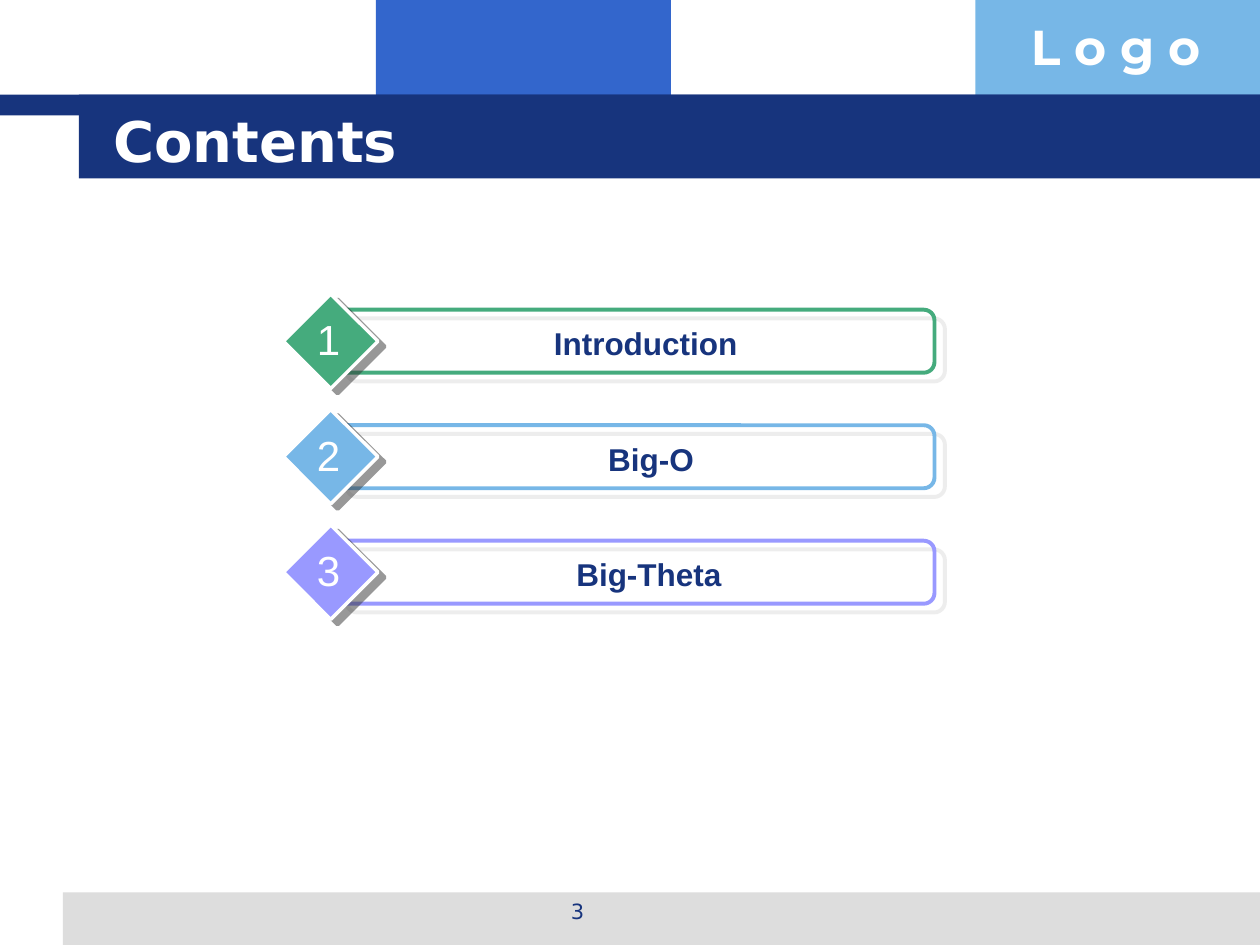
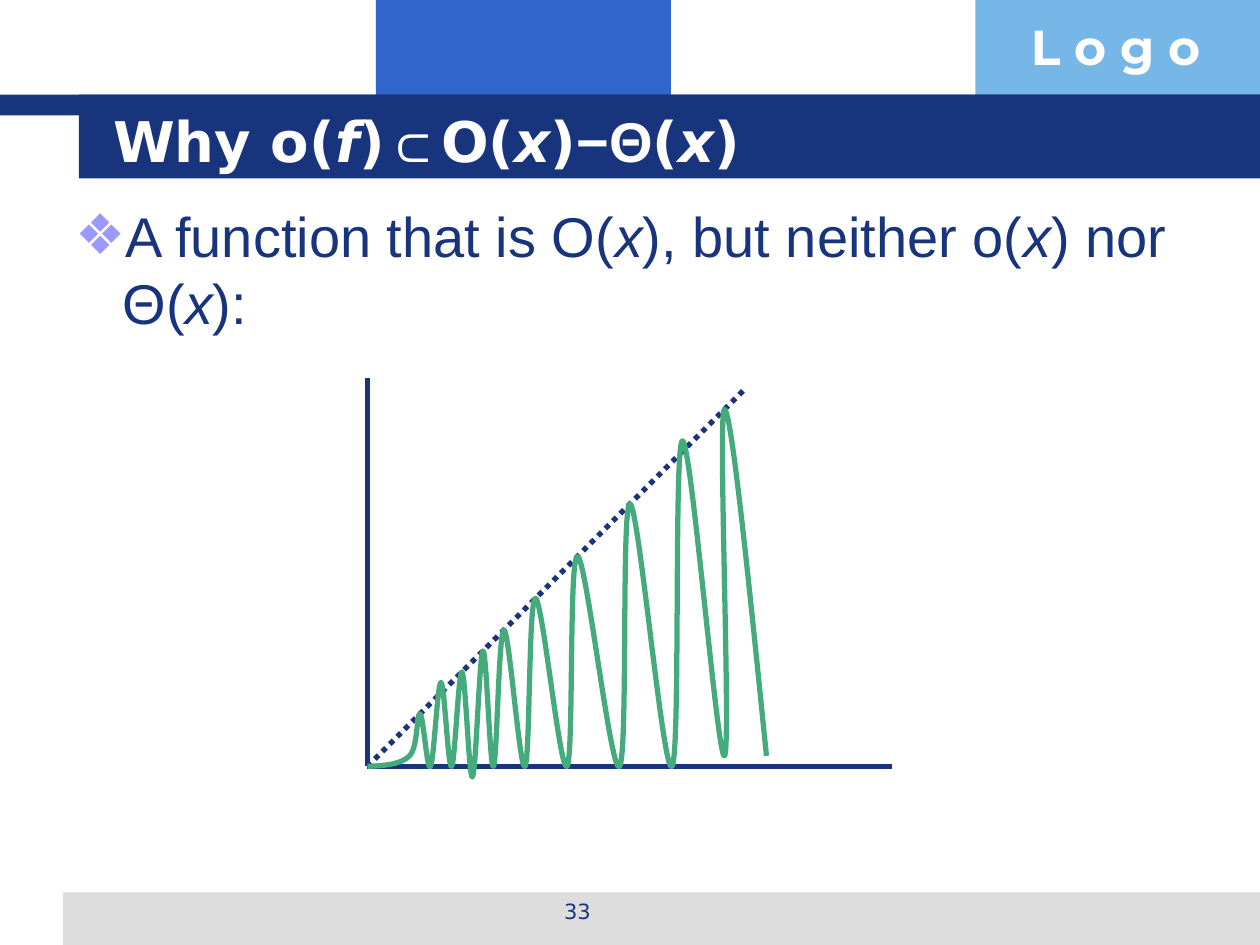
import lxml.etree
import pptx
import pptx.dml.color
import pptx.enum.dml
import pptx.enum.shapes
import pptx.enum.text
import pptx.oxml.ns
import pptx.util

EMU_PER_PX = 7620
SLIDE_WIDTH, SLIDE_HEIGHT = 1200, 900

NAVY = pptx.dml.color.RGBColor(0x17, 0x34, 0x7D)
BLUE = pptx.dml.color.RGBColor(0x33, 0x66, 0xCC)
SKY = pptx.dml.color.RGBColor(0x77, 0xB7, 0xE7)
GREEN = pptx.dml.color.RGBColor(0x45, 0xAB, 0x7D)
VIOLET = pptx.dml.color.RGBColor(0x99, 0x99, 0xFF)
GREY = pptx.dml.color.RGBColor(0xDD, 0xDD, 0xDD)
DARK_GREY = pptx.dml.color.RGBColor(0x33, 0x33, 0x33)
WHITE = pptx.dml.color.RGBColor(0xFF, 0xFF, 0xFF)

SHAPES = pptx.enum.shapes.MSO_SHAPE
CENTER = pptx.enum.text.PP_ALIGN.CENTER
MIDDLE = pptx.enum.text.MSO_ANCHOR.MIDDLE

TITLE_FORMAT = {"name": "DejaVu Sans", "size": pptx.util.Pt(32), "bold": True}
LOGO_FORMAT = {"name": "Montserrat", "size": pptx.util.Pt(28), "bold": True}
PAGE_FORMAT = {"name": "DejaVu Sans", "size": pptx.util.Pt(12)}
LABEL_FORMAT = {"name": "Arial", "size": pptx.util.Pt(18), "bold": True}
NUMBER_FORMAT = {"name": "Arial", "size": pptx.util.Pt(24)}
BODY_FORMAT = {"name": "Arial", "size": pptx.util.Pt(32)}
ITALIC = {"italic": True}
ARIAL = {"name": "Arial"}

BANDS = [
    ((358, 0, 281, 110), BLUE),
    ((929, 0, 271, 110), SKY),
    ((60, 850, 1140, 50), GREY),
    ((0, 90, 1200, 20), NAVY),
    ((75, 90, 1125, 80), NAVY),
]

CONTENTS = [
    ("Introduction", GREEN, 350, 530),
    ("Big-O", SKY, 360, 520),
    ("Big-Theta", VIOLET, 358, 520),
]
ROW_PITCH = 110

ORIGIN = (350, 730)
AXIS_ENDS = [(850, 730), (350, 360)]
BOUND_END = (710, 370)
WAVE_KNOTS = [
    ORIGIN, (390, 720), (400, 680), (410, 730), (420, 650), (430, 730),
    (440, 640), (450, 740), (460, 620), (470, 730), (480, 600), (500, 730),
    (510, 570), (540, 730), (550, 530), (590, 730), (600, 480), (640, 730),
    (650, 420), (690, 720), (690, 390), (730, 720),
]


def emu(*lengths):
    return [round(length * EMU_PER_PX) for length in lengths]


def apply_format(target, values):
    for name, value in values.items():
        setattr(target, name, value)


def add_element(parent, tag, **attributes):
    return lxml.etree.SubElement(parent, pptx.oxml.ns.qn(tag), attributes)


def add_shadow(shape, color, distance, degrees):
    shadow = add_element(
        shape._element.spPr.find(pptx.oxml.ns.qn("a:effectLst")),
        "a:outerShdw",
        dist=str(pptx.util.Pt(distance)),
        dir=str(degrees * 60000),
        algn="ctr",
        rotWithShape="0",
    )
    shade = add_element(shadow, "a:srgbClr", val=str(color))
    add_element(shade, "a:alpha", val="50000")


def add_block(slide, kind, box, fill=None, line=None, line_width=1):
    shape = slide.shapes.add_shape(kind, *emu(*box))
    shape.shadow.inherit = False
    if fill is None:
        shape.fill.background()
    else:
        shape.fill.solid()
        shape.fill.fore_color.rgb = fill
    if line is None:
        shape.line.fill.background()
    else:
        shape.line.color.rgb = line
        shape.line.width = pptx.util.Pt(line_width)
    return shape


def add_text(slide, box, runs, font_format, color, alignment=None, anchor=None, wrap=True):
    frame = slide.shapes.add_textbox(*emu(*box)).text_frame
    apply_format(frame, {"word_wrap": wrap, "vertical_anchor": anchor})
    paragraph = frame.paragraphs[0]
    paragraph.alignment = alignment
    for text, changes in runs:
        run = paragraph.add_run()
        run.text = text
        apply_format(run.font, {**font_format, **changes})
        run.font.color.rgb = color
    return paragraph


def add_bullet(paragraph, character, color, indent):
    properties = paragraph._p.get_or_add_pPr()
    width = emu(indent)[0]
    properties.set("marL", str(width))
    properties.set("indent", str(-width))
    bullet_color = add_element(properties, "a:buClr")
    add_element(bullet_color, "a:srgbClr", val=str(color))
    add_element(properties, "a:buFont", typeface="DejaVu Sans")
    add_element(properties, "a:buChar", char=character)


def add_line(slide, start, end, dash_style=None):
    connector = slide.shapes.add_connector(
        pptx.enum.shapes.MSO_CONNECTOR.STRAIGHT, *emu(*start, *end)
    )
    connector.line.color.rgb = NAVY
    apply_format(connector.line, {"width": pptx.util.Pt(3), "dash_style": dash_style})
    add_element(connector._element.spPr, "a:effectLst")


def midpoint(first, second):
    return tuple((a + b) / 2 for a, b in zip(first, second))


def curve_segments(knots):
    tangents = [
        ((after[0] - before[0]) / 6, (after[1] - before[1]) / 6)
        for before, after in zip(knots, knots[2:])
    ]
    arrivals = [(x - dx, y - dy) for (x, y), (dx, dy) in zip(knots[1:], tangents)]
    departures = [(x + dx, y + dy) for (x, y), (dx, dy) in zip(knots[1:], tangents)]
    departures.insert(0, midpoint(knots[0], arrivals[0]))
    arrivals.append(midpoint(departures[-1], knots[-1]))
    return zip(departures, arrivals, knots[1:])


def add_curve(slide, knots, color):
    builder = slide.shapes.build_freeform(*emu(*knots[0]))
    builder.add_line_segments([emu(*knot) for knot in knots[1:]], close=False)
    shape = builder.convert_to_shape()
    shape.shadow.inherit = False
    shape.fill.background()
    shape.line.color.rgb = color
    shape.line.width = pptx.util.Pt(3)
    straight_segments = list(shape._element.iter(pptx.oxml.ns.qn("a:lnTo")))
    for straight, controls in zip(straight_segments, curve_segments(knots)):
        outline = straight.getparent()
        bezier = add_element(outline, "a:cubicBezTo")
        for control in controls:
            x, y = emu(*control)
            add_element(bezier, "a:pt", x=str(x - shape.left), y=str(y - shape.top))
        outline.replace(straight, bezier)


def add_slide(presentation, title_runs, page_number):
    slide = presentation.slides.add_slide(presentation.slide_layouts[6])
    for box, color in BANDS:
        add_block(slide, SHAPES.RECTANGLE, box, color)
    add_text(slide, (970, 10, 230, 68), [("L o g o", {})], LOGO_FORMAT, WHITE)
    add_text(slide, (410, 850, 280, 42), [(page_number, {})], PAGE_FORMAT, NAVY, CENTER)
    add_text(slide, (96, 96, 1024, 74), title_runs, TITLE_FORMAT, WHITE, anchor=MIDDLE)
    return slide


def add_contents_row(slide, index, label, color, label_left, label_width):
    top = 280 + index * ROW_PITCH
    frame = add_block(
        slide, SHAPES.ROUNDED_RECTANGLE, (320, top + 15, 570, 60), line=color, line_width=2.25
    )
    frame.adjustments[0] = 0.17
    add_shadow(frame, GREY, 7.8, 40)
    diamond = add_block(slide, SHAPES.DIAMOND, (270, top, 90, 90), color, WHITE, 2)
    add_shadow(diamond, DARK_GREY, 5, 37)
    label_box = (label_left, top + 23, label_width, 48)
    add_text(slide, label_box, [(label, {})], LABEL_FORMAT, NAVY, CENTER)
    number_box = (290, top + 13, 46, 60)
    add_text(slide, number_box, [(str(index + 1), {})], NUMBER_FORMAT, WHITE, CENTER, wrap=False)


def build_contents(presentation):
    slide = add_slide(presentation, [("Contents", {})], "3")
    for index, row in enumerate(CONTENTS):
        add_contents_row(slide, index, *row)


def build_growth(presentation):
    title_runs = [
        ("Why o(", {}), ("f", ITALIC), (")", {}), ("⊂", ARIAL), ("O(", {}), ("x", ITALIC),
        (")", {}), ("−Θ", ARIAL), ("(", {}), ("x", ITALIC), (")", {}),
    ]
    body_runs = [
        ("A function that is O(", {}), ("x", ITALIC), ("), but neither o(", {}),
        ("x", ITALIC), (") nor Θ(", {}), ("x", ITALIC), ("):", {}),
    ]
    slide = add_slide(presentation, title_runs, "33")
    paragraph = add_text(slide, (60, 186, 1080, 641), body_runs, BODY_FORMAT, NAVY)
    add_bullet(paragraph, "❖", VIOLET, 45)
    for end in AXIS_ENDS:
        add_line(slide, ORIGIN, end)
    add_line(slide, ORIGIN, BOUND_END, pptx.enum.dml.MSO_LINE.ROUND_DOT)
    add_curve(slide, WAVE_KNOTS, GREEN)


def main():
    presentation = pptx.Presentation()
    presentation.slide_width, presentation.slide_height = emu(SLIDE_WIDTH, SLIDE_HEIGHT)
    build_contents(presentation)
    build_growth(presentation)
    presentation.save("out.pptx")


if __name__ == "__main__":
    main()
